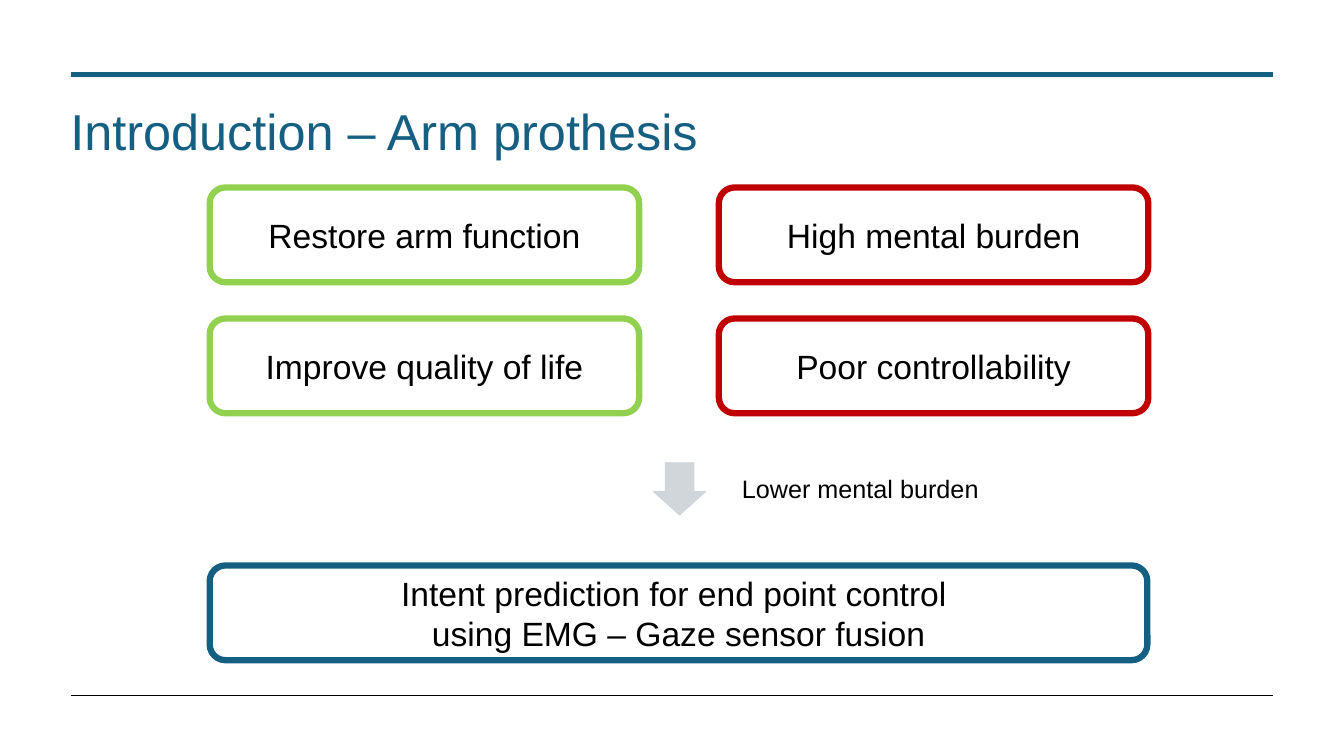
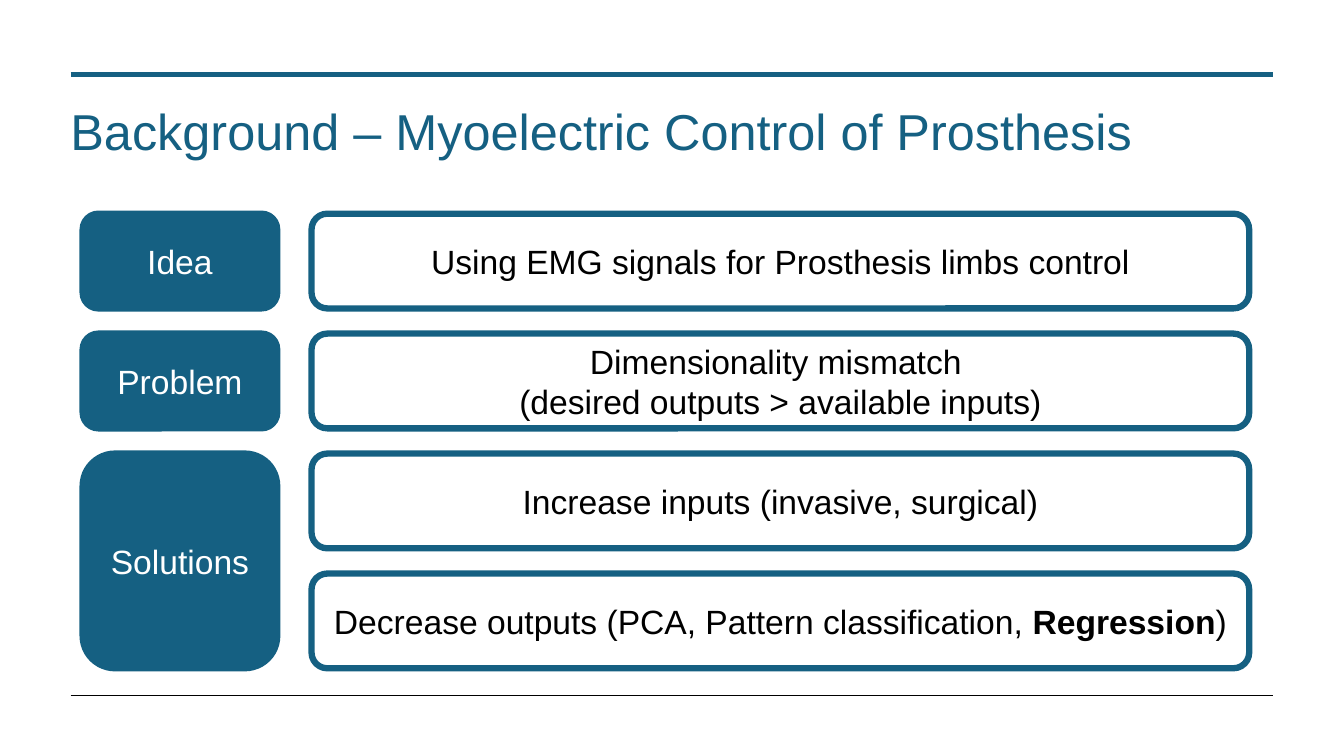
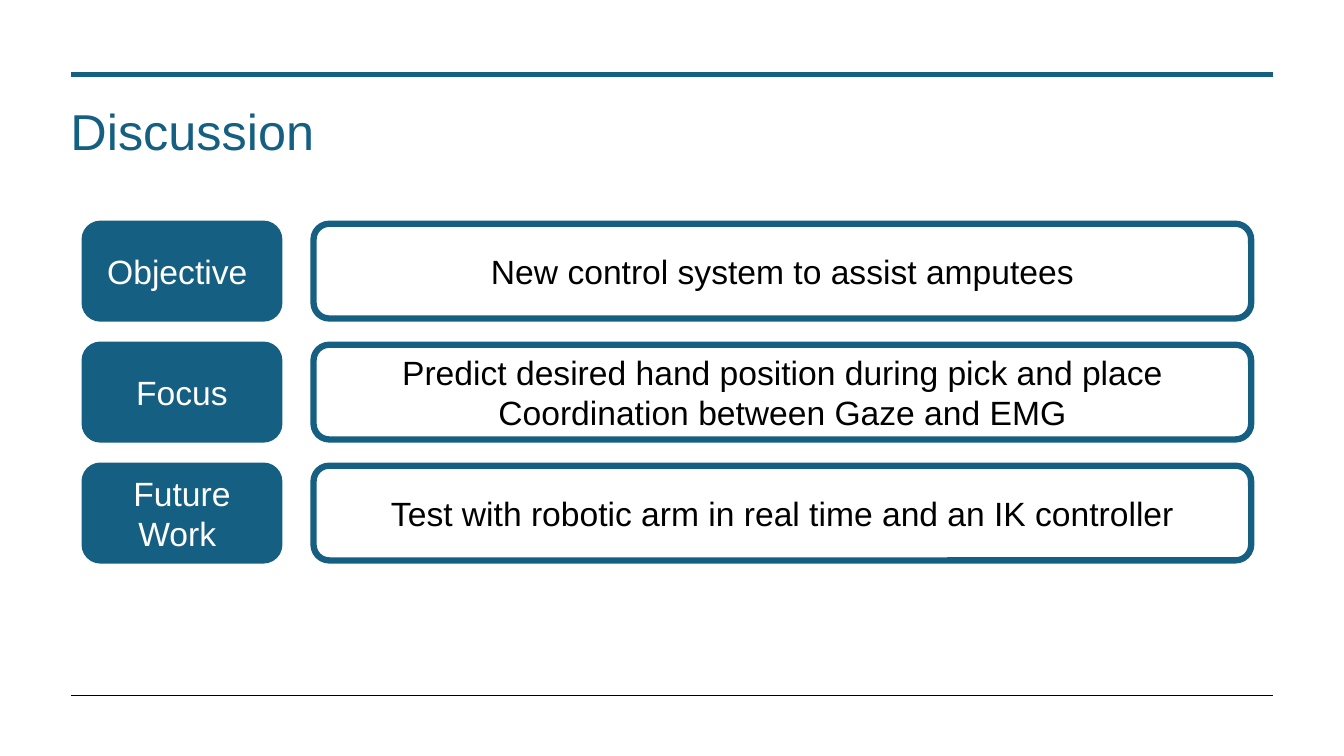
import pptx
import pptx.util
import pptx.dml.color
import pptx.enum.shapes
import pptx.enum.text
import pptx.oxml.ns
from lxml import etree

Inches = pptx.util.Inches
Pt = pptx.util.Pt
RGBColor = pptx.dml.color.RGBColor
Align = pptx.enum.text.PP_ALIGN
Anchor = pptx.enum.text.MSO_ANCHOR
Preset = pptx.enum.shapes.MSO_SHAPE

COLORS = {
    "blue": "156082",
    "green": "92D050",
    "red": "C00000",
    "gray": "CCD2D8",
    "black": "000000",
    "white": "FFFFFF",
}
BOX_HEIGHT = 0.94
WIDE_BOX = 9.3


def write_text(shape, text, size, color, align=Align.LEFT, anchor=Anchor.TOP):
    frame = shape.text_frame
    frame.word_wrap = True
    frame.vertical_anchor = anchor
    paragraph = frame.paragraphs[0]
    paragraph.text = text
    paragraph.alignment = align
    paragraph.font.name = "Arial"
    paragraph.font.size = Pt(size)
    paragraph.font.color.rgb = RGBColor.from_string(COLORS[color])
    return paragraph


def add_box(slide, text, left, top, width, height=BOX_HEIGHT, line="blue", filled=False):
    box = slide.shapes.add_shape(Preset.ROUNDED_RECTANGLE, Inches(left), Inches(top),
                                 Inches(width), Inches(height))
    box.shadow.inherit = False
    box.line.color.rgb = RGBColor.from_string(COLORS[line])
    box.line.width = Pt(4.5)
    if filled:
        box.fill.solid()
        box.fill.fore_color.rgb = RGBColor.from_string(COLORS[line])
    else:
        box.fill.background()
    return write_text(box, text, 24, "white" if filled else "black", Align.CENTER, Anchor.MIDDLE)


presentation = pptx.Presentation()
presentation.slide_width = Inches(13.33)
presentation.slide_height = Inches(7.5)

# Shared frame: two rules and a title on every slide
slides = []
for title in ("Introduction – Arm prothesis",
              "Background – Myoelectric Control of Prosthesis",
              "Discussion"):
    slide = presentation.slides.add_slide(presentation.slide_layouts[6])
    for y, color, width in ((0.74, "blue", 3), (6.9, "black", 0.5)):
        rule = slide.shapes.add_connector(pptx.enum.shapes.MSO_CONNECTOR.STRAIGHT,
                                          Inches(0.7), Inches(y), Inches(12.63), Inches(y))
        rule.line.color.rgb = RGBColor.from_string(COLORS[color])
        rule.line.width = Pt(width)
        etree.SubElement(rule._element.spPr, pptx.oxml.ns.qn("a:effectLst"))
    title_box = slide.shapes.add_textbox(Inches(0.6), Inches(1.04), Inches(12.02), Inches(1.18))
    write_text(title_box, title, 36, "blue").line_spacing = 0.85
    slides.append(slide)
introduction, background, discussion = slides

# Introduction: benefits, drawbacks and the proposed approach
columns = (
    (2.08, "green", ("Restore arm function", "Improve quality of life")),
    (7.13, "red", ("High mental burden", "Poor controllability")),
)
for left, color, texts in columns:
    for row, text in enumerate(texts):
        add_box(introduction, text, left, 1.86 + 1.3 * row, 4.26, line=color)
add_box(introduction, "Intent prediction for end point control \nusing EMG – Gaze sensor fusion",
        2.08, 5.61, WIDE_BOX)

# Arrow with its caption
arrow = introduction.shapes.add_shape(Preset.DOWN_ARROW, Inches(6.48), Inches(4.59),
                                      Inches(0.52), Inches(0.52))
arrow.shadow.inherit = False
arrow.adjustments[0] = 0.45
arrow.adjustments[1] = 0.45
arrow.adjustments[0] = 0.55
arrow.fill.solid()
arrow.fill.fore_color.rgb = RGBColor.from_string(COLORS["gray"])
arrow.line.color.rgb = RGBColor.from_string(COLORS["gray"])
arrow.line.width = Pt(0.5)
for color_element in arrow._element.spPr.iter(pptx.oxml.ns.qn("a:srgbClr")):
    etree.SubElement(color_element, pptx.oxml.ns.qn("a:alpha"), val="90000")
caption = introduction.shapes.add_textbox(Inches(7.26), Inches(4.65), Inches(2.63), Inches(0.4))
write_text(caption, "Lower mental burden", 18, "black")

# Background and discussion: a label beside one or more statements
tables = (
    (background, 0.82, 2.12, 1.19, (
        ("Idea", ["Using EMG signals for Prosthesis limbs control"]),
        ("Problem", ["Dimensionality mismatch \n(desired outputs > available inputs)"]),
        ("Solutions", ["Increase inputs (invasive, surgical)",
                       "Decrease outputs (PCA, Pattern classification, "]),
    )),
    (discussion, 0.84, 2.22, 1.2, (
        ("Objective ", ["New control system to assist amputees"]),
        ("Focus", ["Predict desired hand position during pick and place\n"
                   "Coordination between Gaze and EMG"]),
        ("Future Work ", ["Test with robotic arm in real time and an IK controller"]),
    )),
)
for slide, left, top, pitch, groups in tables:
    for label, statements in groups:
        label_height = BOX_HEIGHT + pitch * (len(statements) - 1)
        add_box(slide, label, left, top, 1.93, label_height, filled=True)
        for statement in statements:
            paragraph = add_box(slide, statement, left + 2.27, top, WIDE_BOX)
            if statement.startswith("Decrease"):
                emphasis = paragraph.add_run()
                emphasis.text = "Regression"
                emphasis.font.bold = True
                paragraph.add_run().text = ")"
            top += pitch

presentation.save("out.pptx")
